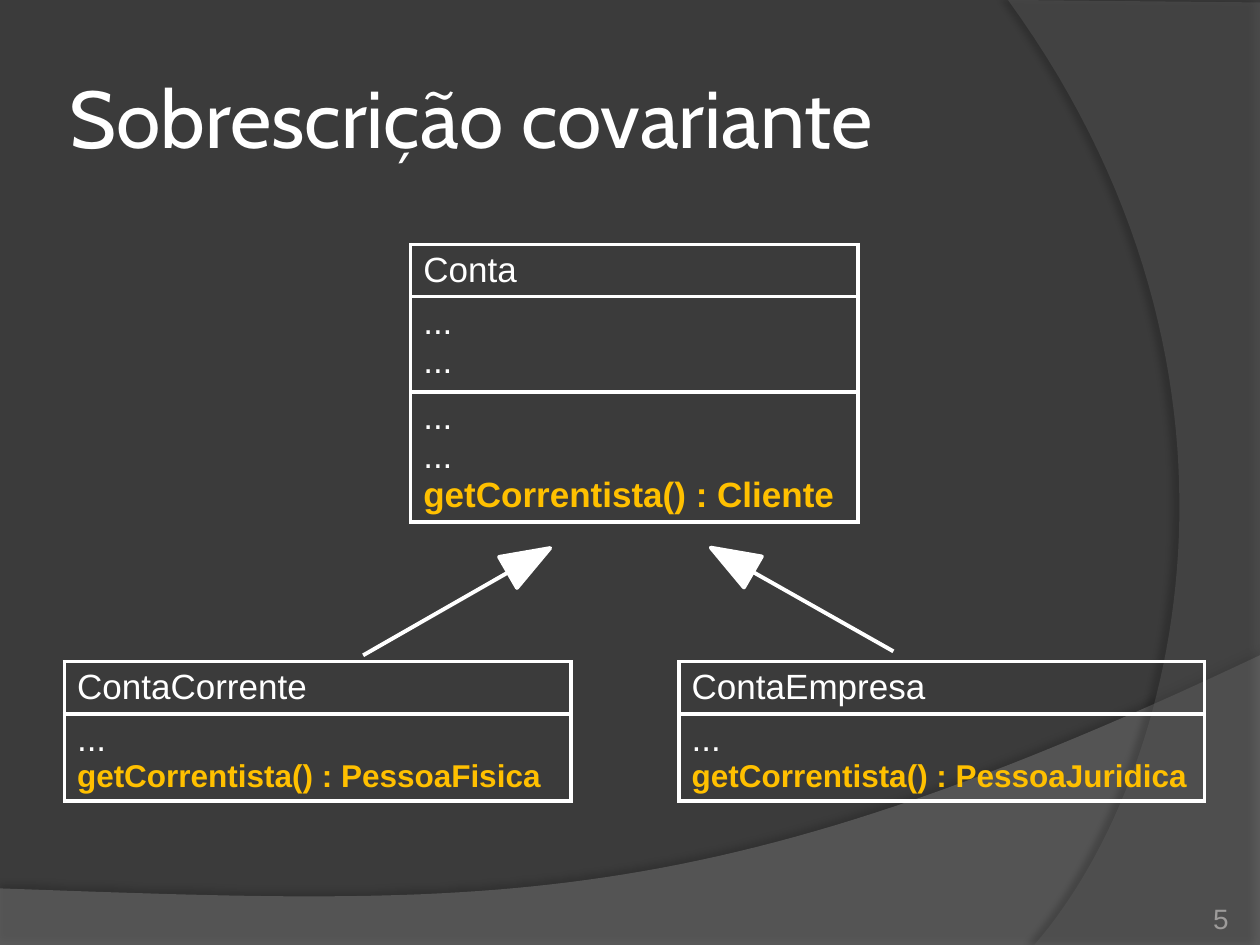
from math import cos, radians, sin

from lxml.etree import SubElement
from pptx import Presentation
from pptx.dml.color import RGBColor
from pptx.enum.shapes import MSO_CONNECTOR, MSO_SHAPE
from pptx.enum.text import MSO_ANCHOR, PP_ALIGN
from pptx.oxml import parse_xml
from pptx.oxml.ns import nsdecls, qn
from pptx.util import Cm, Pt

BACKGROUND = RGBColor(0x3B, 0x3B, 0x3B)
WAVE = RGBColor(0x7F, 0x7F, 0x7F)
ARC = RGBColor(0x5E, 0x5E, 0x5E)
WHITE = RGBColor(0xFF, 0xFF, 0xFF)
GOLD = RGBColor(0xFF, 0xC0, 0x00)
GRAY = RGBColor(0x9D, 0x9B, 0x9A)
LINE_WIDTH = Pt(2.25)
HEAD_WIDTH, HEAD_LENGTH, HEAD_ANGLE = 0.72, 0.98, 60

TITLE_FONT = {"name": "Cabin", "size": Pt(46), "color": WHITE}
BODY_FONT = {"name": "Arial", "size": Pt(20), "color": WHITE}
NUMBER_FONT = {"name": "Arial", "size": Pt(16), "color": GRAY}


def set_font(font, formats):
    """Apply a dict of format values to a font."""
    for name, value in formats.items():
        if name == "color":
            font.color.rgb = value
        else:
            setattr(font, name, value)


def curve(p0, p1, p2, p3, steps=60):
    """Return points along a cubic Bézier curve."""
    points = []
    for i in range(steps + 1):
        t = i / steps
        u = 1 - t
        weights = (u ** 3, 3 * u * u * t, 3 * u * t * t, t ** 3)
        points.append(tuple(sum(w * p[axis] for w, p in zip(weights, (p0, p1, p2, p3)))
                            for axis in (0, 1)))
    return points


def add_swoosh(slide, box, points, color, alpha, shadow):
    """Draw a translucent outline, with points relative to the box."""
    left, top = box
    emu = [(Cm(left + x), Cm(top + y)) for x, y in points]
    builder = slide.shapes.build_freeform(*emu[0], scale=1.0)
    builder.add_line_segments(emu[1:], close=True)
    sp = builder.convert_to_shape()
    sp.fill.solid()
    sp.fill.fore_color.rgb = color
    sp.line.fill.background()
    clr = sp.fill._xPr.find(qn("a:solidFill"))[0]
    SubElement(clr, qn("a:alpha"), val=str(alpha * 1000))
    opacity, blur, dist, angle = shadow
    sp._element.spPr.append(parse_xml(
        f'<a:effectLst {nsdecls("a")}><a:outerShdw blurRad="{Pt(blur)}" '
        f'dist="{Pt(dist)}" dir="{angle * 60000}" algn="ctr" rotWithShape="0">'
        f'<a:srgbClr val="000000"><a:alpha val="{opacity * 1000}"/></a:srgbClr>'
        f'</a:outerShdw></a:effectLst>'))


def add_backdrop(slide):
    """Paint the background with its bottom wave and right arc."""
    fill = slide.background.fill
    fill.solid()
    fill.fore_color.rgb = BACKGROUND
    wave = [(0, 5.84), (25.4, 5.84)]
    wave += curve((25.4, 0), (14.2, 5.31), (9.93, 5.05), (0, 4.7))
    add_swoosh(slide, (0, 13.21), wave, WAVE, 45, (35, 4, 3.5, 270))
    arc = [(5.08, 0.05), (5.08, 19.05)]
    arc += curve((0.53, 19.05), (3.43, 15.72), (5.54, 7.62), (0, 0))
    add_swoosh(slide, (20.32, 0), arc, ARC, 40, (45, 4, 4, 180))


def add_title(slide, box, text):
    """Place the slide title in its placeholder."""
    sp = slide.shapes.title
    sp.left, sp.top, sp.width, sp.height = map(Cm, box)
    tf = sp.text_frame
    for side in ("left", "right", "top", "bottom"):
        setattr(tf, f"margin_{side}", Cm(0.13))
    tf.vertical_anchor = MSO_ANCHOR.MIDDLE
    p = tf.paragraphs[0]
    p.alignment = PP_ALIGN.LEFT
    r = p.add_run()
    r.text = text
    set_font(r.font, TITLE_FONT)


def add_borders(cell):
    """Outline a table cell in white."""
    tcPr = cell._tc.get_or_add_tcPr()
    for i, side in enumerate("LRTB"):
        tcPr.insert(i, parse_xml(
            f'<a:ln{side} {nsdecls("a")} w="{LINE_WIDTH}"><a:solidFill>'
            f'<a:srgbClr val="{WHITE}"/></a:solidFill></a:ln{side}>'))


def add_class(slide, box, heights, sections, method_size):
    """Build a class table; the last line of the last section is highlighted."""
    left, top, width = box
    shape = slide.shapes.add_table(len(sections), 1, Cm(left), Cm(top),
                                   Cm(width), Cm(sum(heights)))
    table = shape.table
    table.first_row = table.horz_banding = False
    method = sections[-1][-1]
    for row, height, lines in zip(table.rows, heights, sections):
        row.height = Cm(height)
        cell = row.cells[0]
        cell.fill.background()
        add_borders(cell)
        p = cell.text_frame.paragraphs[0]
        for i, line in enumerate(lines):
            if i:
                p.add_line_break()
            r = p.add_run()
            r.text = line
            set_font(r.font, BODY_FONT)
            if line == method:
                set_font(r.font, {"size": method_size, "color": GOLD, "bold": True})
        set_font(p.font, BODY_FONT)


def add_inheritance(slide, box, lean):
    """Draw an arrow up to a top corner of the box: right if lean is 1, left if -1."""
    left, top, width, height = box
    tip_x, tail_x = (left + width, left) if lean == 1 else (left, left + width)
    dx = lean * sin(radians(HEAD_ANGLE)) * HEAD_LENGTH
    dy = cos(radians(HEAD_ANGLE)) * HEAD_LENGTH
    shapes = slide.shapes.add_group_shape().shapes
    head = shapes.add_shape(MSO_SHAPE.ISOSCELES_TRIANGLE,
                            Cm(tip_x - dx / 2 - HEAD_WIDTH / 2),
                            Cm(top + dy / 2 - HEAD_LENGTH / 2),
                            Cm(HEAD_WIDTH), Cm(HEAD_LENGTH))
    head.rotation = lean * HEAD_ANGLE % 360
    head.shadow.inherit = False
    head.fill.solid()
    head.fill.fore_color.rgb = WHITE
    stem = shapes.add_connector(MSO_CONNECTOR.STRAIGHT, Cm(tip_x - dx), Cm(top + dy),
                                Cm(tail_x), Cm(top + height))
    SubElement(stem._element.spPr, qn("a:effectLst"))
    for sp in (head, stem):
        sp.line.color.rgb = WHITE
        sp.line.width = LINE_WIDTH


def add_number(slide, box, text):
    """Write the slide number in the corner."""
    tf = slide.shapes.add_textbox(*map(Cm, box)).text_frame
    tf.word_wrap = True
    for side in ("left", "right", "top", "bottom"):
        setattr(tf, f"margin_{side}", 0)
    tf.vertical_anchor = MSO_ANCHOR.BOTTOM
    p = tf.paragraphs[0]
    p.alignment = PP_ALIGN.RIGHT
    r = p.add_run()
    r.text = text
    set_font(r.font, NUMBER_FONT)


def main():
    """Build the slide and save it."""
    prs = Presentation()
    prs.slide_width, prs.slide_height = Cm(25.4), Cm(19.05)
    s = prs.slides.add_slide(prs.slide_layouts[5])
    add_backdrop(s)
    add_title(s, (1.27, 0.76, 23.14, 3.18), "Sobrescrição covariante")
    add_class(s, (8.28, 4.93, 9.02), (1.05, 1.92, 2.62),
              (["Conta"], ["...", "..."], ["...", "...", "getCorrentista() : Cliente"]),
              Pt(20))
    for left, width, name, owner in ((13.69, 10.59, "ContaEmpresa", "PessoaJuridica"),
                                     (1.3, 10.21, "ContaCorrente", "PessoaFisica")):
        add_class(s, (left, 13.34, width), (1.05, 1.75),
                  ([name], ["...", f"getCorrentista() : {owner}"]), Pt(18))
    add_inheritance(s, (14.33, 11.04, 3.68, 2.09), -1)
    add_inheritance(s, (7.32, 11.05, 3.77, 2.16), 1)
    add_number(s, (22.66, 17.83, 2.11, 1.02), "5")
    prs.save("out.pptx")


if __name__ == "__main__":
    main()
